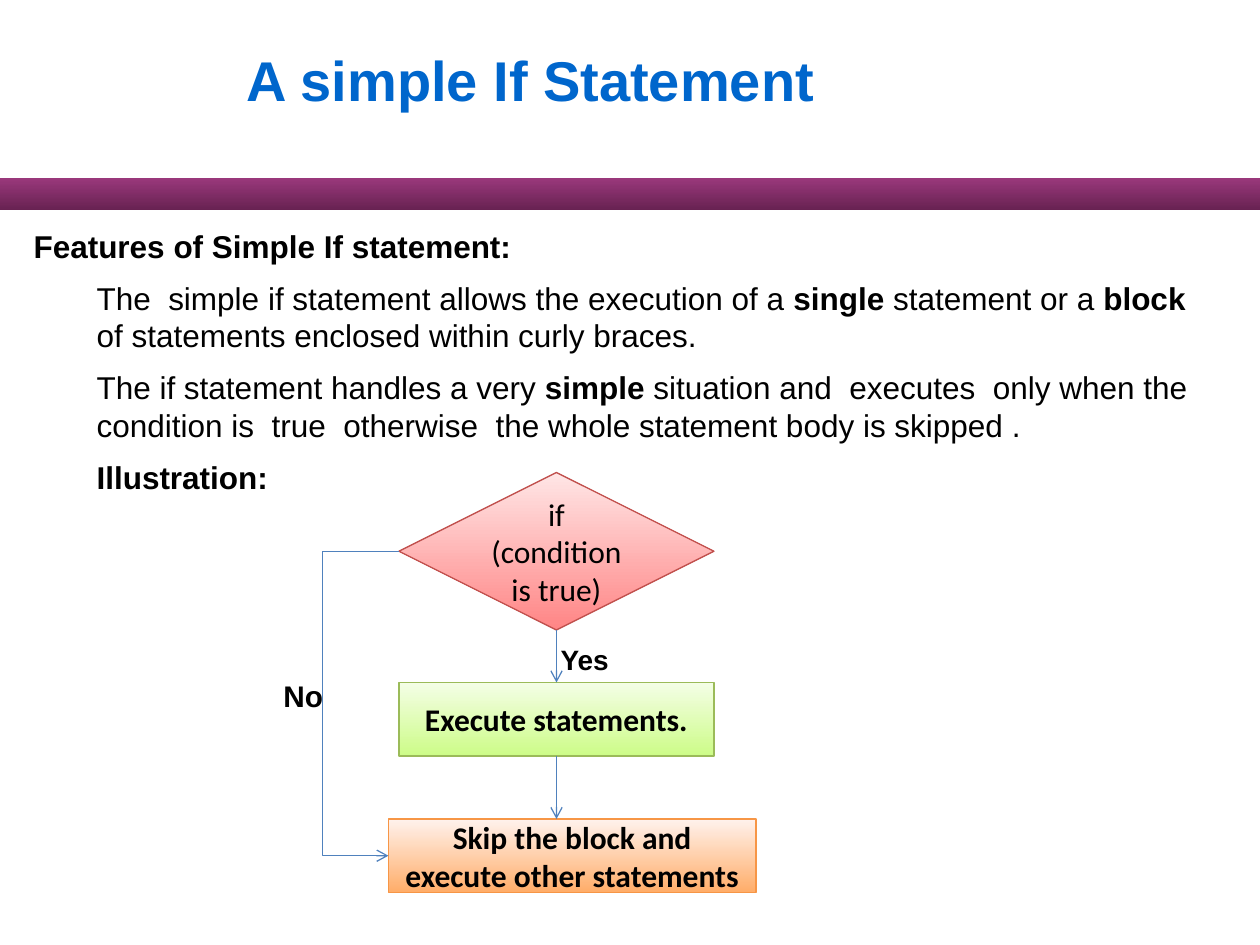
"""Build a slide that explains the simple if statement with a flowchart."""
from lxml.etree import SubElement
from pptx import Presentation
from pptx.dml.color import RGBColor
from pptx.enum.shapes import MSO_CONNECTOR, MSO_SHAPE
from pptx.enum.text import MSO_ANCHOR, MSO_AUTO_SIZE, PP_ALIGN
from pptx.oxml.ns import qn
from pptx.util import Pt

TITLE = "A simple If Statement"
FEATURES = [
    (0, [("Features of Simple If statement:", True)]),
    (1, [("The  simple if statement allows the execution of a ", False), ("single", True),
         (" statement or a ", False), ("block", True),
         (" of statements enclosed within curly braces.", False)]),
    (1, [("The if statement handles a very ", False), ("simple", True),
         (" situation and  executes  only when the condition is  true  otherwise"
          "  the whole statement body is skipped .", False)]),
    (1, [("Illustration:", True)]),
]
STEPS = {
    "condition": ("if (condition is true)", MSO_SHAPE.FLOWCHART_DECISION,
                  (228, 270, 180, 90), False),
    "execute": ("Execute statements.", MSO_SHAPE.FLOWCHART_PROCESS,
                (228, 390, 180, 42), True),
    "skip": ("Skip the block and execute other statements", MSO_SHAPE.FLOWCHART_PROCESS,
             (222, 468, 210, 42), True),
}
BRANCHES = [("Yes", (313.2, 363.6, 42.5, 26.6), 16), ("No", (154.8, 383.8, 38, 28.1), 17)]
BAR_BOX = (0, 102, 720, 18)
TITLE_BOX = (126, 0, 594, 90)
FEATURES_BOX = (12, 126, 684, 309)
BYPASS_X = 184.3
LEFT_SITE, BOTTOM_SITE = 1, 2

THEME = {
    "text_font": "Arial", "step_font": "Calibri",
    "title_size": 32, "body_size": 18,
    "title": "0066CC", "text": "000000", "arrow": "4F81BD", "line_width": 0.75,
    "bar": ("682252", "99387B"),
    "condition": ("FF8585", "FFE6E6", "C0504D"),
    "execute": ("CDFC88", "F4FEE6", "9BBB59"),
    "skip": ("FFAD69", "FFF2ED", "F79646"),
}


def apply(target, values):
    for name, value in values.items():
        setattr(target, name, value)


def place(shape, box):
    apply(shape, dict(zip(("left", "top", "width", "height"), map(Pt, box))))


def style_font(font, name, size, color, bold):
    apply(font, {"name": name, "size": Pt(size), "bold": bold})
    font.color.rgb = RGBColor.from_string(color)


def add_block(slide, preset, box, bottom, top, outline=None):
    block = slide.shapes.add_shape(preset, *map(Pt, box))
    block.shadow.inherit = False
    block.fill.gradient()
    block.fill.gradient_angle = 90
    for stop, color in zip(block.fill.gradient_stops, (bottom, top)):
        stop.color.rgb = RGBColor.from_string(color)
    if outline:
        block.line.color.rgb = RGBColor.from_string(outline)
        block.line.width = Pt(THEME["line_width"])
    else:
        block.line.fill.background()
    return block


def add_step(slide, key):
    label, preset, box, bold = STEPS[key]
    step = add_block(slide, preset, box, *THEME[key])
    apply(step.text_frame, {"text": label, "word_wrap": True,
                            "vertical_anchor": MSO_ANCHOR.MIDDLE})
    paragraph = step.text_frame.paragraphs[0]
    paragraph.alignment = PP_ALIGN.CENTER
    style_font(paragraph.runs[0].font, THEME["step_font"], THEME["body_size"],
               THEME["text"], bold)
    return step


def add_arrow(slide, kind, start, end):
    arrow = slide.shapes.add_connector(kind, *map(Pt, start + end))
    arrow.line.color.rgb = RGBColor.from_string(THEME["arrow"])
    arrow.line.width = Pt(THEME["line_width"])
    SubElement(arrow.line._get_or_add_ln(), qn("a:tailEnd"), type="arrow")
    SubElement(arrow._element.spPr, qn("a:effectLst"))
    return arrow


def fill_title(title):
    place(title, TITLE_BOX)
    apply(title.text_frame, {"text": TITLE, "vertical_anchor": MSO_ANCHOR.MIDDLE,
                             "margin_left": Pt(15)})
    paragraph = title.text_frame.paragraphs[0]
    paragraph.alignment = PP_ALIGN.LEFT
    style_font(paragraph.runs[0].font, THEME["text_font"], THEME["title_size"],
               THEME["title"], True)


def fill_features(body):
    place(body, FEATURES_BOX)
    frame = body.text_frame
    apply(frame, {"word_wrap": True, "auto_size": MSO_AUTO_SIZE.NONE})
    for index, (level, runs) in enumerate(FEATURES):
        paragraph = frame.add_paragraph() if index else frame.paragraphs[0]
        apply(paragraph, {"level": level, "space_before": Pt(8 if index else 0)})
        properties = paragraph._p.get_or_add_pPr()
        properties.set("marL", str(Pt(36 * level)))
        properties.set("indent", "0")
        SubElement(properties, qn("a:buNone"))
        for text, bold in runs:
            run = paragraph.add_run()
            run.text = text
            style_font(run.font, THEME["text_font"], THEME["body_size"], THEME["text"], bold)


def add_flowchart(slide):
    steps = {key: add_step(slide, key) for key in STEPS}
    left, top, width, height = STEPS["condition"][2]
    execute_top, execute_height = STEPS["execute"][2][1::2]
    skip_left, skip_top, _, skip_height = STEPS["skip"][2]
    center = left + width / 2

    yes = add_arrow(slide, MSO_CONNECTOR.STRAIGHT, (center, top + height), (center, execute_top))
    yes.begin_connect(steps["condition"], BOTTOM_SITE)
    yes.end_connect(steps["execute"], 0)

    no = add_arrow(slide, MSO_CONNECTOR.ELBOW, (left, top + height / 2),
                   (skip_left, skip_top + skip_height / 2))
    no.begin_connect(steps["condition"], LEFT_SITE)
    no.end_connect(steps["skip"], LEFT_SITE)
    bend = round((left - BYPASS_X) / (left - skip_left) * 100000)
    guides = no._element.spPr.find(qn("a:prstGeom")).get_or_add_avLst()
    SubElement(guides, qn("a:gd"), name="adj1", fmla=f"val {bend}")

    after = add_arrow(slide, MSO_CONNECTOR.STRAIGHT, (center, execute_top + execute_height),
                      (center, skip_top))
    after.begin_connect(steps["execute"], BOTTOM_SITE)

    for label, box, size in BRANCHES:
        branch = slide.shapes.add_textbox(*map(Pt, box))
        apply(branch.text_frame, {"text": label, "word_wrap": False,
                                  "auto_size": MSO_AUTO_SIZE.SHAPE_TO_FIT_TEXT})
        style_font(branch.text_frame.paragraphs[0].runs[0].font, THEME["text_font"], size,
                   THEME["text"], True)


def main():
    presentation = Presentation()
    apply(presentation, {"slide_width": Pt(720), "slide_height": Pt(540)})
    slide = presentation.slides.add_slide(presentation.slide_layouts[1])
    add_block(slide, MSO_SHAPE.RECTANGLE, BAR_BOX, *THEME["bar"])
    fill_title(slide.shapes.title)
    fill_features(slide.placeholders[1])
    add_flowchart(slide)
    presentation.save("out.pptx")


if __name__ == "__main__":
    main()
